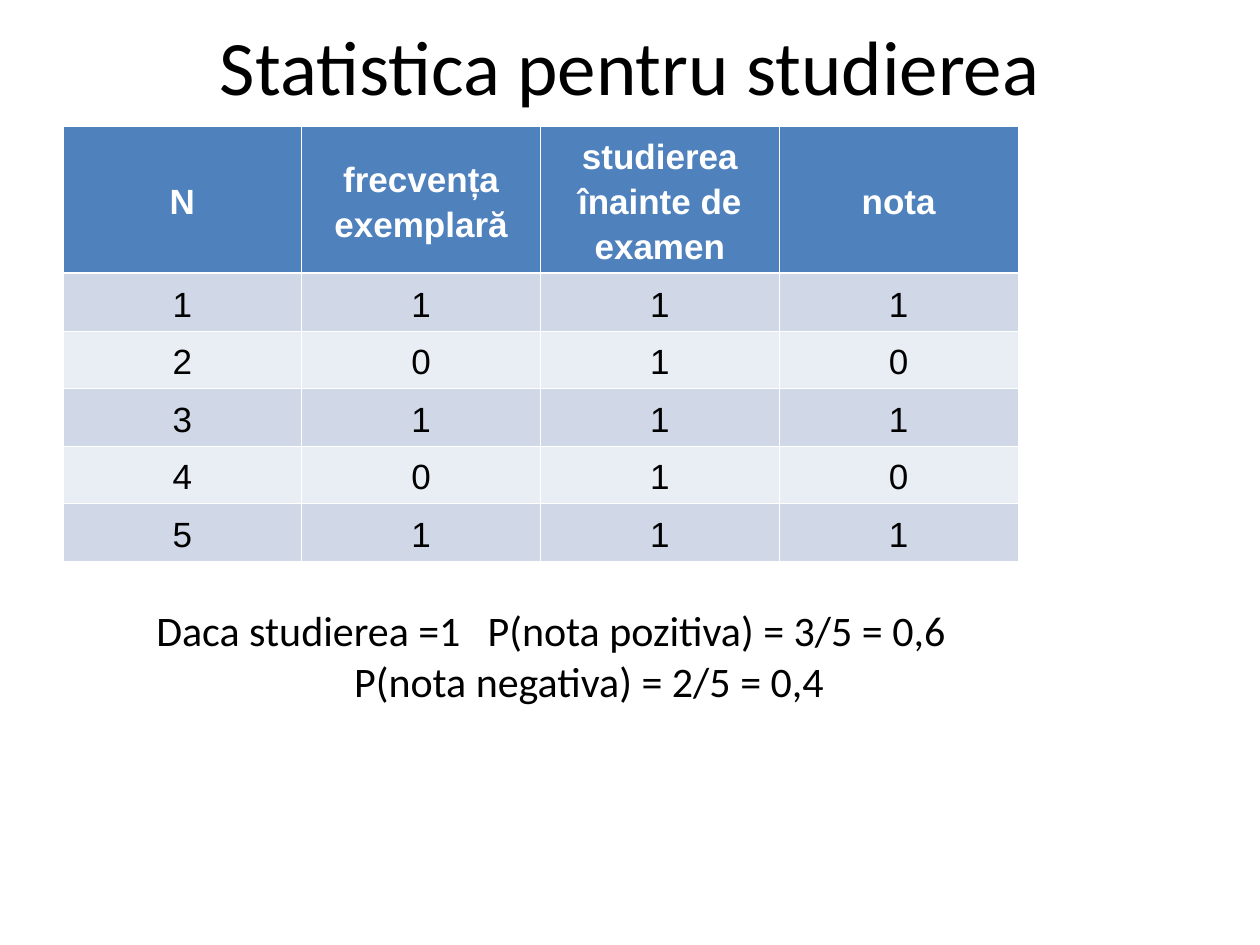
"""Build a slide with study statistics and the resulting grade probabilities."""
from dataclasses import dataclass

from lxml.etree import SubElement
from pptx import Presentation
from pptx.dml.color import RGBColor as RGB
from pptx.enum.text import MSO_ANCHOR as Anchor, MSO_AUTO_SIZE as AutoSize, PP_ALIGN as Align
from pptx.oxml.ns import qn
from pptx.util import Inches, Pt


@dataclass(frozen=True)
class Theme:
    heading_font: str = "Calibri"
    table_font: str = "Arial"
    text: str = "000000"
    light: str = "FFFFFF"
    header: str = "4F81BD"
    bands: tuple = ("D0D8E8", "E9EDF4")
    title_size: int = 44
    note_size: int = 24
    table_size: int = 20
    thin: float = 0.45
    thick: float = 1.47


THEME = Theme()
ROWS = [
    ("N", "frecvența exemplară", "studierea înainte de examen", "nota"),
    (1, 1, 1, 1),
    (2, 0, 1, 0),
    (3, 1, 1, 1),
    (4, 0, 1, 0),
    (5, 1, 1, 1),
]


def write(p, text, size, font=THEME.heading_font, color=THEME.text, bold=False, align=Align.CENTER):
    p.alignment = align
    r = p.add_run()
    r.text = text
    r.font.name, r.font.size, r.font.bold = font, Pt(size), bold
    r.font.color.rgb = RGB.from_string(color)


def add_title(slide, text):
    sp = slide.shapes.title
    sp.left, sp.top, sp.width, sp.height = map(Inches, (0.5, 0.08, 9, 0.87))
    sp.text_frame.vertical_anchor = Anchor.MIDDLE
    write(sp.text_frame.paragraphs[0], text, THEME.title_size)


def set_border(cell, side, width):
    ln = SubElement(cell._tc.get_or_add_tcPr(), qn(f"a:ln{side}"), w=str(Pt(width)))
    SubElement(SubElement(ln, qn("a:solidFill")), qn("a:srgbClr"), val=THEME.light)


def format_cell(cell, value, row):
    is_header = row == 0
    widths = {
        "L": THEME.thin,
        "R": THEME.thin,
        "T": THEME.thick if row == 1 else THEME.thin,
        "B": THEME.thick if is_header else THEME.thin,
    }
    for side, width in widths.items():
        set_border(cell, side, width)
    cell.fill.solid()
    cell.fill.fore_color.rgb = RGB.from_string(THEME.header if is_header else THEME.bands[(row - 1) % 2])
    cell.vertical_anchor = Anchor.MIDDLE
    cell.margin_left = cell.margin_right = Inches(0.08)
    cell.margin_top = cell.margin_bottom = Inches(0.05)
    p = cell.text_frame.paragraphs[0]
    p.line_spacing, p.space_after = 1.15, Pt(10)
    write(p, str(value), THEME.table_size, font=THEME.table_font,
          color=THEME.light if is_header else THEME.text, bold=is_header)


def add_statistics(slide, rows):
    frame = slide.shapes.add_table(len(rows), len(rows[0]), Inches(0.5), Inches(1), Inches(7.58), Inches(3.07))
    table = frame.table
    for i, values in enumerate(rows):
        table.rows[i].height = Inches(0.38 if i else 1.15)
        for j, value in enumerate(values):
            format_cell(table.cell(i, j), value, i)


def add_probabilities(slide, condition, positive, negative):
    sp = slide.shapes.add_textbox(Inches(0), Inches(4.75), Inches(9.42), Inches(1.3))
    tf = sp.text_frame
    tf.word_wrap, tf.auto_size = True, AutoSize.SHAPE_TO_FIT_TEXT
    tf.margin_left = Inches(1.24)
    first, second = tf.paragraphs[0], tf.add_paragraph()
    tabs = SubElement(first._p.get_or_add_pPr(), qn("a:tabLst"))
    SubElement(tabs, qn("a:tab"), pos=str(Inches(2.63)), algn="l")
    second._p.get_or_add_pPr().set("marL", str(Inches(1.57)))
    write(first, f"{condition}\t{positive}", THEME.note_size, align=Align.LEFT)
    write(second, negative, THEME.note_size, align=Align.LEFT)


def main():
    prs = Presentation()
    prs.slide_width, prs.slide_height = Inches(10), Inches(7.5)
    slide = prs.slides.add_slide(prs.slide_layouts[5])
    add_title(slide, "Statistica pentru studierea")
    add_statistics(slide, ROWS)
    add_probabilities(slide, "Daca studierea =1", "P(nota pozitiva) = 3/5 = 0,6", "P(nota negativa) = 2/5 = 0,4")
    prs.save("out.pptx")


if __name__ == "__main__":
    main()
